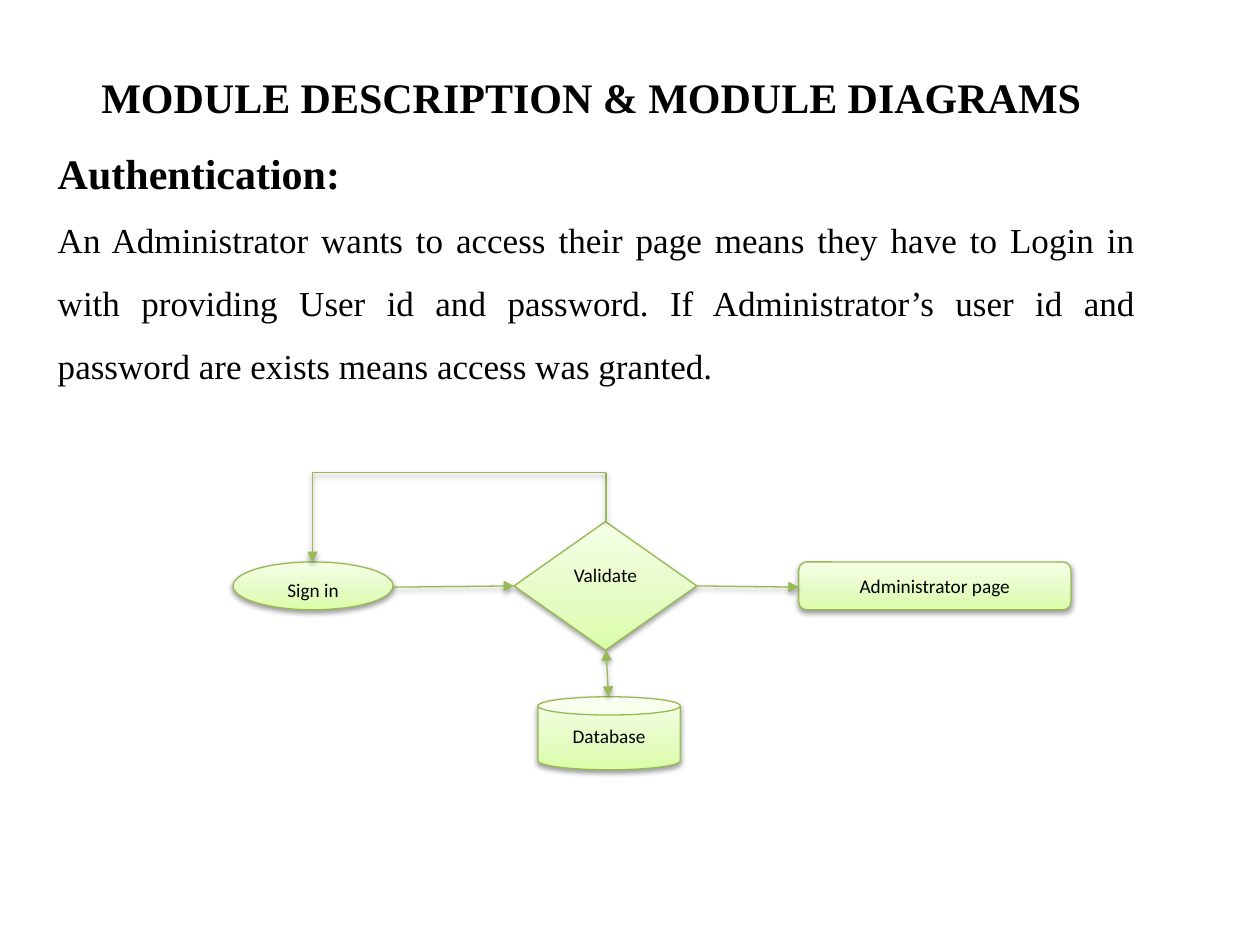
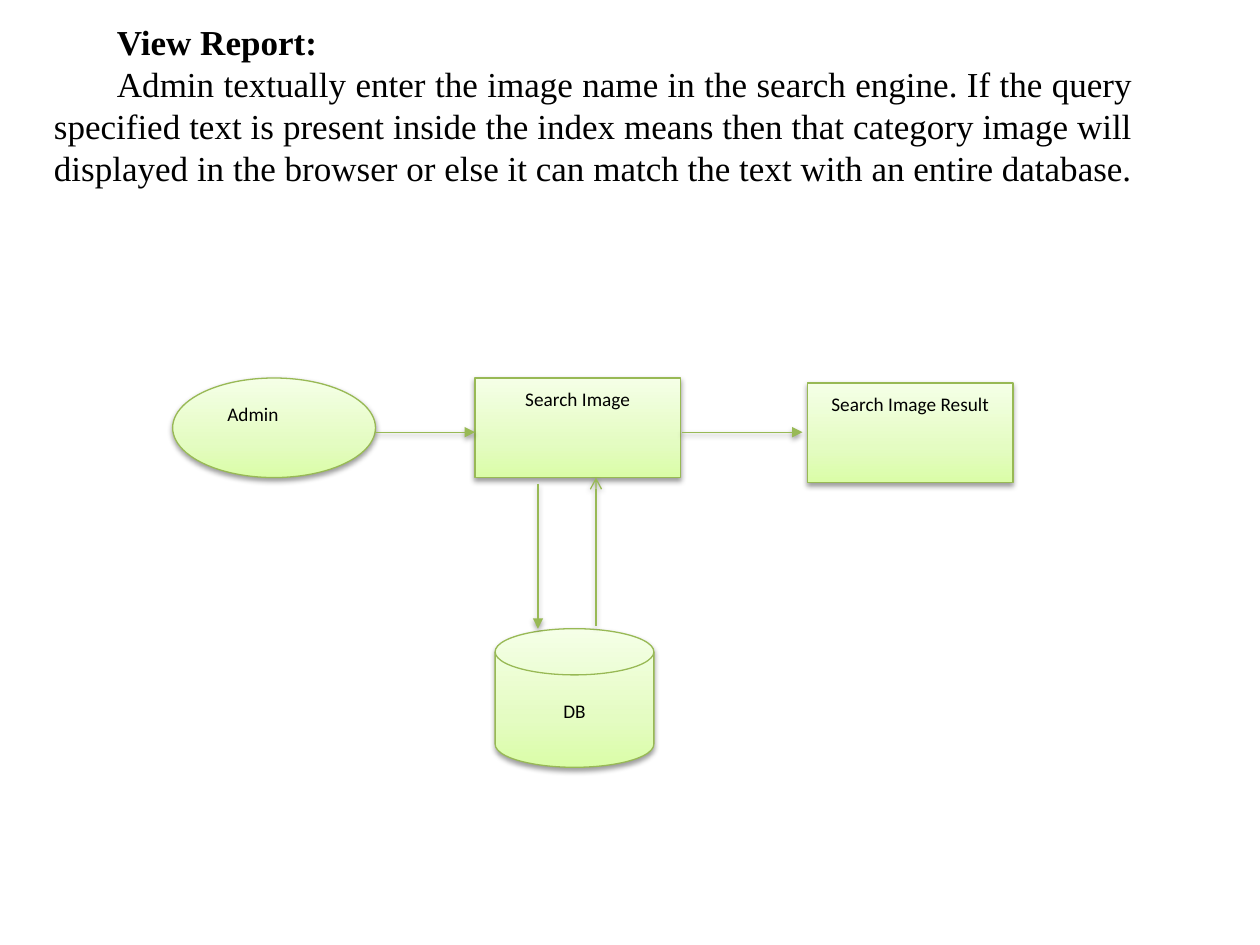
"""Builds two slides that describe modules and show their flow diagrams."""
from itertools import pairwise

from lxml.etree import SubElement
from pptx import Presentation
from pptx.dml.color import RGBColor
from pptx.enum.shapes import MSO_CONNECTOR, MSO_SHAPE
from pptx.enum.text import MSO_ANCHOR, PP_ALIGN
from pptx.oxml.ns import qn
from pptx.util import Inches, Pt

COLORS = {
    "text": "000000",
    "outline": "98B955",
    "shadow": "000000",
    "bottom": "DAFDA7",
    "middle": "E4FCC2",
    "top": "F5FFE7",
}
GRADIENT = (("bottom", 0), ("middle", 35), ("top", 100))


class DiagramDeck:
    def __init__(self):
        self.presentation = Presentation()
        self.presentation.slide_width = Inches(10)
        self.presentation.slide_height = Inches(7.5)
        self.slide = None

    def add_slide(self):
        self.slide = self.presentation.slides.add_slide(self.presentation.slide_layouts[6])

    def color(self, name):
        return RGBColor.from_string(COLORS[name])

    def format_runs(self, paragraph, font_name, size, bold=False):
        for run in paragraph.runs:
            run.font.name = font_name
            run.font.size = Pt(size)
            run.font.bold = bold
            run.font.color.rgb = self.color("text")

    def description(self, left, top, width, height, entries, spacing=1.0, indent=0):
        box = self.slide.shapes.add_textbox(
            Inches(left), Inches(top), Inches(width), Inches(height))
        text_frame = box.text_frame
        text_frame.word_wrap = True
        text_frame.text = "\n".join(entry[0] for entry in entries)
        for paragraph, (_, size, bold, alignment) in zip(text_frame.paragraphs, entries):
            paragraph.alignment = alignment
            paragraph.line_spacing = spacing
            paragraph._p.get_or_add_pPr().set("indent", str(Inches(indent)))
            self.format_runs(paragraph, "Times New Roman", size, bold)

    def outline(self, shape):
        shape.line.color.rgb = self.color("outline")
        shape.line.width = Pt(0.75)
        properties = shape.element.spPr
        effects = SubElement(properties, qn("a:effectLst"))
        shadow = SubElement(
            effects, qn("a:outerShdw"), blurRad=str(Pt(3.1)), dist=str(Pt(1.6)),
            dir="5400000", rotWithShape="0")
        shade = SubElement(shadow, qn("a:srgbClr"), val=COLORS["shadow"])
        SubElement(shade, qn("a:alpha"), val="38000")

    def node(self, kind, left, top, width, height, label,
             anchor=MSO_ANCHOR.TOP, alignment=PP_ALIGN.CENTER, margin=0):
        shape = self.slide.shapes.add_shape(
            kind, Inches(left), Inches(top), Inches(width), Inches(height))
        shape.fill.gradient()
        shape.fill.gradient_angle = 90
        stops = shape.element.spPr.find(".//" + qn("a:gsLst"))
        for stop in list(stops):
            stops.remove(stop)
        for name, position in GRADIENT:
            stop = SubElement(stops, qn("a:gs"), pos=str(position * 1000))
            SubElement(stop, qn("a:srgbClr"), val=COLORS[name])
        self.outline(shape)
        text_frame = shape.text_frame
        text_frame.text = label
        text_frame.vertical_anchor = anchor
        paragraph = text_frame.paragraphs[0]
        paragraph.alignment = alignment
        paragraph.line_spacing = 1.15
        paragraph.space_after = Pt(10)
        paragraph._p.get_or_add_pPr().set("marL", str(Inches(margin)))
        self.format_runs(paragraph, "Calibri", 11)

    def arrow(self, start, end, head=None, tail="triangle"):
        connector = self.slide.shapes.add_connector(
            MSO_CONNECTOR.STRAIGHT, *(Inches(value) for value in (*start, *end)))
        self.outline(connector)
        line = connector.element.spPr.find(qn("a:ln"))
        for tag, style in (("a:headEnd", head), ("a:tailEnd", tail)):
            if style:
                SubElement(line, qn(tag), type=style)

    def route(self, *points):
        segments = list(pairwise(points))
        for start, end in segments[:-1]:
            self.arrow(start, end, tail=None)
        self.arrow(*segments[-1])


def build_authentication(deck):
    deck.add_slide()
    deck.description(0.36, 0.32, 8.75, 3.33, [
        ("MODULE DESCRIPTION & MODULE DIAGRAMS ", 24, True, PP_ALIGN.CENTER),
        ("Authentication:", 24, True, PP_ALIGN.JUSTIFY),
        ("An Administrator wants to access their page means they have to Login in with "
         "providing User id and password. If Administrator’s user id and password are "
         "exists means access was granted.", 20, False, PP_ALIGN.JUSTIFY),
    ], spacing=1.5)
    deck.node(MSO_SHAPE.OVAL, 1.85, 4.46, 1.27, 0.38, "Sign in")
    deck.node(MSO_SHAPE.DIAMOND, 4.08, 4.14, 1.45, 1.02, "Validate")
    deck.node(MSO_SHAPE.ROUNDED_RECTANGLE, 6.34, 4.46, 2.16, 0.38, "Administrator page")
    deck.node(MSO_SHAPE.CAN, 4.27, 5.53, 1.13, 0.58, "Database")
    deck.arrow((3.12, 4.66), (4.08, 4.65))
    deck.arrow((5.53, 4.65), (6.34, 4.66))
    deck.arrow((4.81, 5.16), (4.83, 5.53), head="triangle")
    deck.route((4.81, 4.14), (4.81, 3.75), (2.48, 3.75), (2.48, 4.46))


def build_view_report(deck):
    deck.add_slide()
    deck.description(0.33, 0.11, 8.76, 1.78, [
        ("View Report:", 20, True, PP_ALIGN.LEFT),
        ("Admin textually enter the image name in the search engine. If the query "
         "specified text is present inside the index means then that category image "
         "will displayed in the browser or else it can match the text with an entire "
         "database. ", 20, False, PP_ALIGN.JUSTIFY),
    ], indent=0.5)
    deck.node(MSO_SHAPE.OVAL, 1.37, 3, 1.61, 0.79, "Admin",
              alignment=PP_ALIGN.LEFT, margin=0.1)
    deck.node(MSO_SHAPE.RECTANGLE, 3.77, 3, 1.63, 0.79, "Search Image")
    deck.node(MSO_SHAPE.RECTANGLE, 6.41, 3.04, 1.63, 0.79, "Search Image Result")
    deck.node(MSO_SHAPE.FLOWCHART_MAGNETIC_DISK, 3.93, 4.99, 1.26, 1.1, "DB",
              anchor=MSO_ANCHOR.MIDDLE)
    deck.arrow((2.98, 3.43), (3.77, 3.43))
    deck.arrow((5.41, 3.43), (6.37, 3.43))
    deck.arrow((4.27, 3.84), (4.27, 4.99))
    deck.arrow((4.73, 4.97), (4.73, 3.79), tail="arrow")


def main():
    deck = DiagramDeck()
    build_authentication(deck)
    build_view_report(deck)
    deck.presentation.save("out.pptx")


if __name__ == "__main__":
    main()
